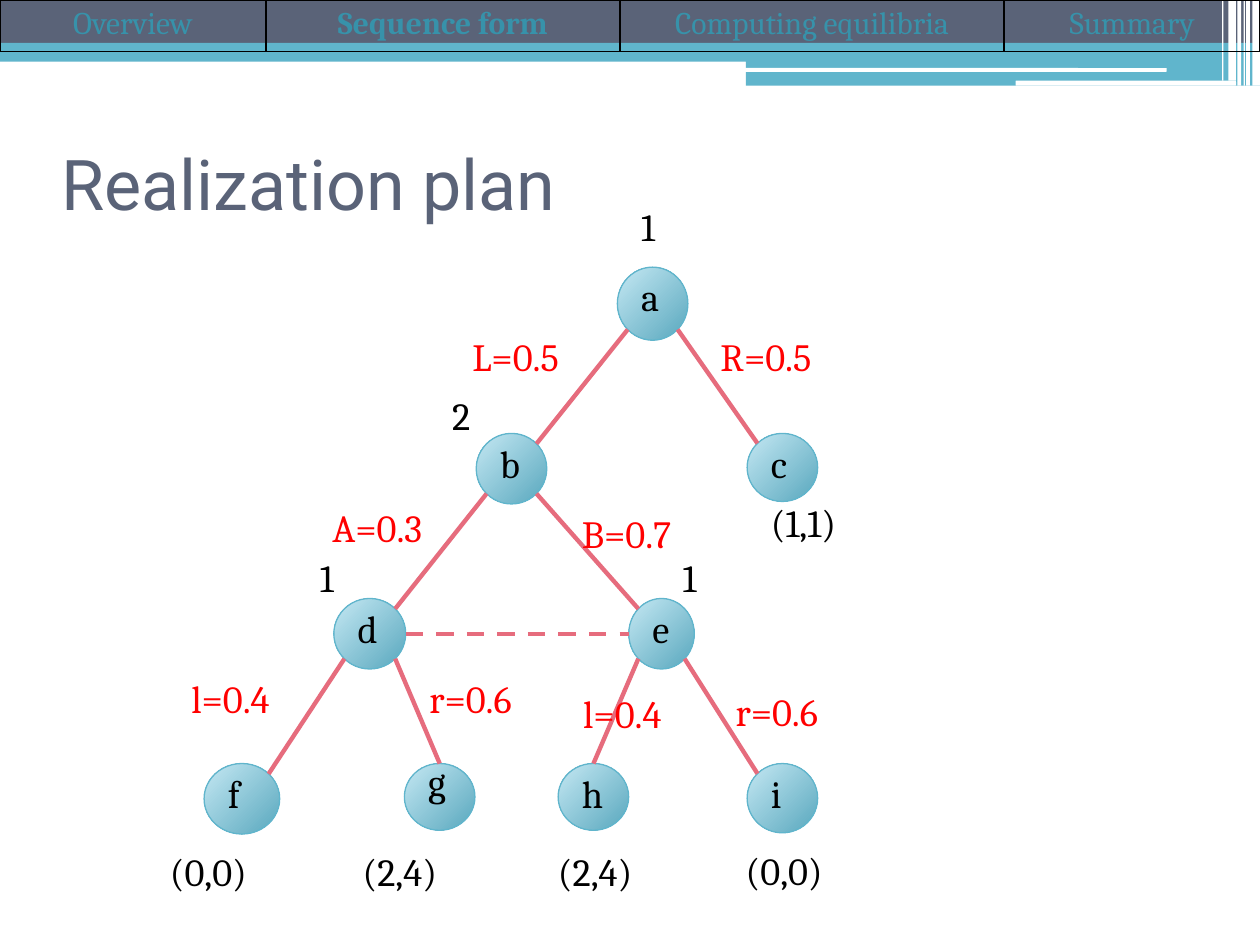
from collections import namedtuple
from dataclasses import dataclass

from lxml.etree import SubElement
from pptx import Presentation
from pptx.dml.color import RGBColor
from pptx.enum.dml import MSO_LINE_DASH_STYLE as Dash
from pptx.enum.shapes import MSO_CONNECTOR as Connector, MSO_SHAPE as Shape
from pptx.enum.text import MSO_ANCHOR as Anchor, PP_ALIGN as Align
from pptx.oxml import parse_xml
from pptx.oxml.ns import nsdecls, qn
from pptx.util import Inches, Pt

Box = namedtuple("Box", "left top width height")


@dataclass(frozen=True)
class Theme:
    """Colours, fonts and type sizes of the deck."""
    slate: str = "5A6378"
    aqua: str = "60B5CC"
    white: str = "FFFFFF"
    black: str = "000000"
    nav_text: str = "3792AA"
    node_light: str = "C5E8F3"
    node_dark: str = "59A8BE"
    edge: str = "E66C7D"
    action: str = "FF0000"
    title_font: str = "Roboto"
    body_font: str = "Cambria"
    title_size: int = 40
    nav_size: int = 18
    label_size: int = 22


THEME = Theme()
DIAGONAL = 0.5 ** 0.5
SITES = {
    "top": (0, -1), "left": (-1, 0), "right": (1, 0),
    "upper left": (-DIAGONAL, -DIAGONAL), "upper right": (DIAGONAL, -DIAGONAL),
    "lower left": (-DIAGONAL, DIAGONAL), "lower right": (DIAGONAL, DIAGONAL),
}
BANDS = [
    (0, 0.4, 10, 0.09, THEME.aqua), (0, 0, 10, 0.34, THEME.slate),
    (0, 0.34, 10, 0.1, THEME.aqua), (5.92, 0.39, 4.08, 0.1, THEME.aqua),
    (5.92, 0.48, 4.08, 0.2, THEME.aqua),
]
GROOVES = [(5.91, 0.54, 3.35, 0.03), (8.06, 0.64, 1.75, 0.04)]
STRIPES = [(9.94, 0.06, 0.68), (9.89, 0.03, 0.68), (9.87, 0.01, 0.68),
           (9.82, 0.03, 0.68), (9.75, 0.06, 0.64), (9.7, 0.01, 0.64)]
SECTIONS = [("Overview", 2.11), ("Sequence form", 2.81),
            ("Computing equilibria", 3.05), ("Summary", 2.03)]
CURRENT_SECTION = "Sequence form"
NODES = {
    "a": Box(3.9, 0.62, 0.56, 0.58), "b": Box(2.78, 1.94, 0.56, 0.56),
    "c": Box(4.93, 1.94, 0.56, 0.54), "d": Box(1.65, 3.25, 0.57, 0.56),
    "e": Box(3.99, 3.25, 0.52, 0.56), "f": Box(0.62, 4.56, 0.6, 0.56),
    "g": Box(2.21, 4.56, 0.56, 0.53), "h": Box(3.43, 4.56, 0.56, 0.53),
    "i": Box(4.93, 4.56, 0.56, 0.55),
}
LIFTED_LETTERS = {"g": 0.09}
EDGES = [
    ("a", "lower left", "b", "upper right"), ("a", "lower right", "c", "upper left"),
    ("b", "lower left", "d", "upper right"), ("b", "lower right", "e", "upper left"),
    ("d", "lower left", "f", "upper right"), ("d", "lower right", "g", "top"),
    ("e", "lower left", "h", "top"), ("e", "lower right", "i", "upper left"),
]
ACTIONS = [
    ("L=0.5", 2.65, 1.09), ("R=0.5", 4.62, 1.09), ("A=0.3", 1.54, 2.45),
    ("B=0.7", 3.52, 2.5), ("l=0.4", 0.42, 3.81), ("l=0.4", 3.53, 3.93),
    ("r=0.6", 2.31, 3.81), ("r=0.6", 4.74, 3.91),
]
PLAYERS = [("1", 3.99, 0.06), ("1", 1.44, 2.85), ("1", 4.32, 2.85), ("2", 2.49, 1.56)]
PAYOFFS = [("(0,0)", 0.25, 5.18), ("(0,0)", 4.82, 5.17), ("(2,4)", 1.78, 5.18),
           ("(2,4)", 3.33, 5.18), ("(1,1)", 5.02, 2.41)]


def rgb(colour):
    """Turn a hex string into a colour."""
    return RGBColor.from_string(colour)


def place(box, left, top, width, height):
    """Return slide lengths for a part measured from the corner of a box."""
    return [Inches(value) for value in (box.left + left, box.top + top, width, height)]


def add_span(para, text, font, size, colour, bold=False):
    """Add one formatted run to a paragraph."""
    span = para.add_run()
    span.text = text
    span.font.name = font
    span.font.size = Pt(size)
    span.font.bold = bold
    span.font.color.rgb = rgb(colour)


def add_band(page, box, kind, area, colour):
    """Add a plain filled shape without an outline."""
    band = page.shapes.add_shape(kind, *place(box, *area))
    band.shadow.inherit = False
    band.fill.solid()
    band.fill.fore_color.rgb = rgb(colour)
    band.line.fill.background()


def add_banner(page, box):
    """Draw the coloured bands, grooves and stripes at the top."""
    for *area, colour in BANDS:
        add_band(page, box, Shape.RECTANGLE, area, colour)
    for area in GROOVES:
        add_band(page, box, Shape.ROUNDED_RECTANGLE, area, THEME.white)
    for left, width, height in STRIPES:
        add_band(page, box, Shape.RECTANGLE, (left, 0, width, height), THEME.white)


def add_title(page, box, text):
    """Fill and position the title placeholder."""
    title = page.shapes.title
    title.left, title.top, title.width, title.height = place(box, 0, 0, box.width, box.height)
    title.text_frame.vertical_anchor = Anchor.MIDDLE
    para = title.text_frame.paragraphs[0]
    para.alignment = Align.LEFT
    add_span(para, text, THEME.title_font, THEME.title_size, THEME.slate)


def outline_cell(cell):
    """Clear a cell's fill and give it thin black borders."""
    cell.fill.background()
    properties = cell._tc.get_or_add_tcPr()
    for index, side in enumerate(("lnL", "lnR", "lnT", "lnB")):
        properties.insert(index, parse_xml(
            f'<a:{side} {nsdecls("a")} w="12700"><a:solidFill>'
            f'<a:srgbClr val="{THEME.black}"/></a:solidFill></a:{side}>'))


def add_navigation(page, box):
    """Build the section table with the current section in bold."""
    frame = page.shapes.add_table(1, len(SECTIONS), *place(box, 0, 0, box.width, box.height))
    table = frame.table
    table.first_row = table.horz_banding = False
    for column, cell, (name, width) in zip(table.columns, table.rows[0].cells, SECTIONS):
        column.width = Inches(width)
        outline_cell(cell)
        para = cell.text_frame.paragraphs[0]
        para.alignment = Align.CENTER
        add_span(para, name, THEME.body_font, THEME.nav_size, THEME.nav_text,
                 name == CURRENT_SECTION)


def add_node(page, box, node):
    """Draw one tree node with a radial gradient."""
    circle = page.shapes.add_shape(Shape.OVAL, *place(box, *node))
    circle.shadow.inherit = False
    circle.line.color.rgb = rgb(THEME.aqua)
    circle.line.width = Pt(0.75)
    circle.fill.gradient()
    for stop, colour in zip(circle.fill.gradient_stops, (THEME.node_light, THEME.node_dark)):
        stop.color.rgb = rgb(colour)
    gradient = circle._element.spPr.find(qn("a:gradFill"))
    gradient.remove(gradient.find(qn("a:lin")))
    radial = SubElement(gradient, qn("a:path"), path="circle")
    SubElement(radial, qn("a:fillToRect"), r="100000", b="100000")


def site_point(box, name, site):
    """Return the slide position of a site on a node's rim."""
    node, (across, down) = NODES[name], SITES[site]
    return (Inches(box.left + node.left + node.width / 2 * (1 + across)),
            Inches(box.top + node.top + node.height / 2 * (1 + down)))


def add_edge(page, box, parent, start, child, end):
    """Draw a line between sites on two nodes."""
    edge = page.shapes.add_connector(
        Connector.STRAIGHT, *site_point(box, parent, start), *site_point(box, child, end))
    edge.line.color.rgb = rgb(THEME.edge)
    edge.line.width = Pt(2.5)
    SubElement(edge._element.spPr, qn("a:effectLst"))
    return edge


def add_label(page, box, text, left, top, width, colour=THEME.black):
    """Add one line of tree text."""
    label = page.shapes.add_textbox(*place(box, left, top, width, 0.47))
    label.text_frame.word_wrap = True
    add_span(label.text_frame.paragraphs[0], text, THEME.body_font, THEME.label_size, colour)


def add_tree(page, box):
    """Draw the game tree with its actions, players and payoffs."""
    for node in NODES.values():
        add_node(page, box, node)
    for ends in EDGES:
        add_edge(page, box, *ends)
    information_set = add_edge(page, box, "d", "right", "e", "left")
    information_set.line.dash_style = Dash.DASH
    for text, left, top in ACTIONS:
        add_label(page, box, text, left, top, 1.3, THEME.action)
    for labels, width in ((PLAYERS, 0.6), (PAYOFFS, 1.39)):
        for text, left, top in labels:
            add_label(page, box, text, left, top, width)
    for name, node in NODES.items():
        add_label(page, box, name, node.left + 0.09, node.top - LIFTED_LETTERS.get(name, 0), 0.37)


def main():
    """Build the deck and save it."""
    deck = Presentation()
    deck.slide_width, deck.slide_height = Inches(10), Inches(7.5)
    page = deck.slides.add_slide(deck.slide_layouts[5])
    add_banner(page, Box(0, 0, 10, 0.68))
    add_title(page, Box(0.39, 0.86, 9, 1.17), "Realization plan")
    add_navigation(page, Box(0, 0, 10, 0.41))
    add_tree(page, Box(1, 1.5, 6.5, 5.7))
    deck.save("out.pptx")


if __name__ == "__main__":
    main()
